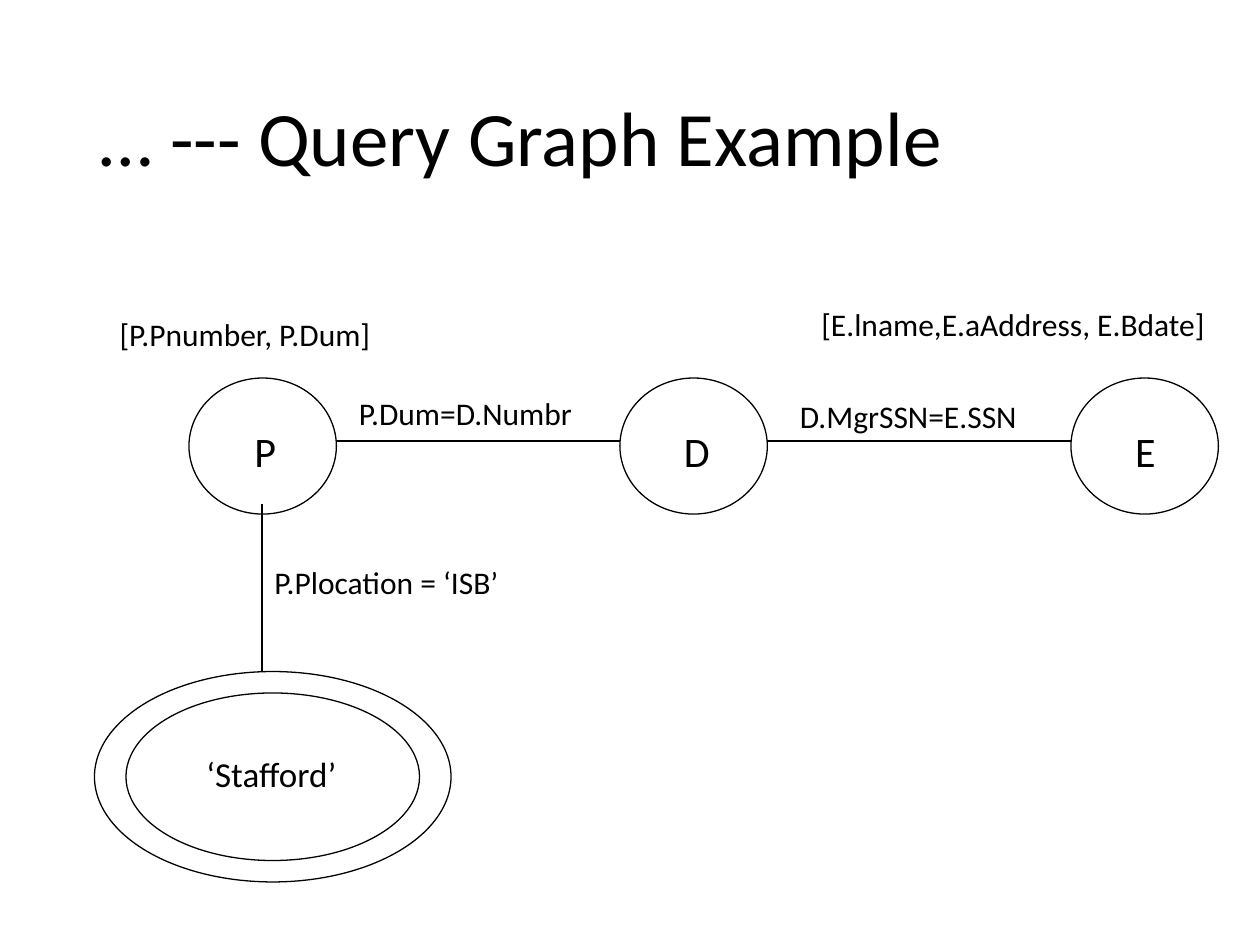
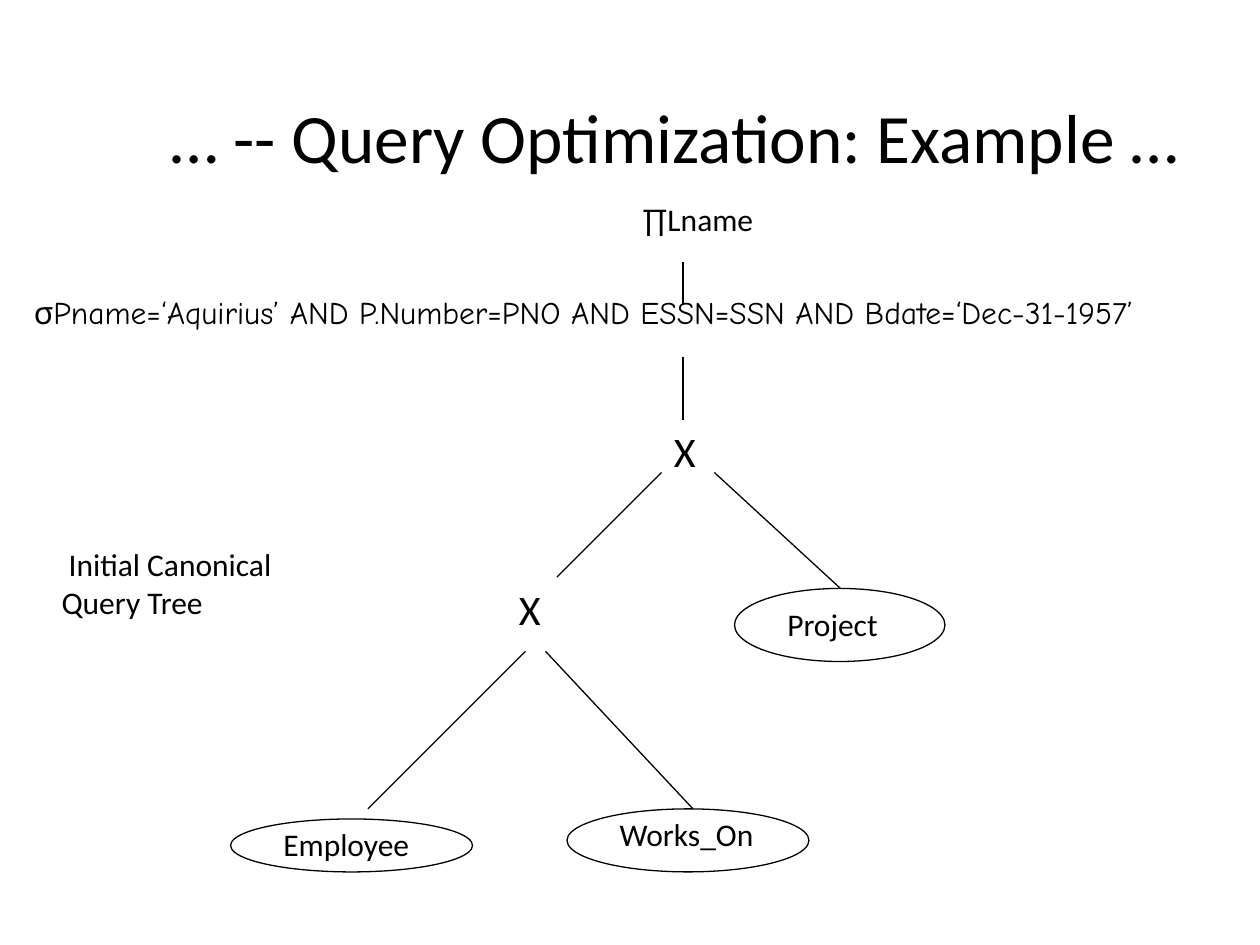
from lxml import etree
from pptx import Presentation
from pptx import util as u
from pptx.dml.color import RGBColor
from pptx.enum import shapes, text
from pptx.oxml import ns

BLACK = RGBColor(0x00, 0x00, 0x00)
WHITE = RGBColor(0xFF, 0xFF, 0xFF)
BODY_FONT = "Calibri"
CONDITION_FONT = "Comic Neue"
LINE_WIDTH = u.Pt(0.75)
LABEL_SIZE = 18
SYMBOL_SIZE = 24
TITLE_ONLY = 5

TITLE_FRAME = {
    "auto_size": text.MSO_AUTO_SIZE.NONE,
    "vertical_anchor": text.MSO_ANCHOR.MIDDLE,
    "word_wrap": True,
}
LABEL_FRAME = {
    "auto_size": text.MSO_AUTO_SIZE.SHAPE_TO_FIT_TEXT,
    "vertical_anchor": text.MSO_ANCHOR.TOP,
    "word_wrap": False,
}
TITLE_PARAGRAPH = {"alignment": text.PP_ALIGN.LEFT, "line_spacing": 0.9}


def apply_format(target, values):
    for attribute, value in values.items():
        setattr(target, attribute, value)


def inches(*lengths):
    return [u.Inches(length) for length in lengths]


def style_font(font, size, name=BODY_FONT):
    apply_format(font, {"size": u.Pt(size), "name": name})
    font.color.rgb = BLACK


def style_outline(line):
    line.color.rgb = BLACK
    line.width = LINE_WIDTH


def add_titled_slide(prs, heading, box, size):
    slide = prs.slides.add_slide(prs.slide_layouts[TITLE_ONLY])
    slide.background.fill.solid()
    slide.background.fill.fore_color.rgb = WHITE
    title = slide.shapes.title
    apply_format(title, dict(zip(("left", "top", "width", "height"), inches(*box))))
    title.text_frame.text = heading
    apply_format(title.text_frame, TITLE_FRAME)
    paragraph = title.text_frame.paragraphs[0]
    apply_format(paragraph, TITLE_PARAGRAPH)
    style_font(paragraph.font, size)
    return slide


def add_ellipse(slide, left, top, width, height):
    ellipse = slide.shapes.add_shape(
        shapes.MSO_SHAPE.OVAL, *inches(left, top, width, height))
    ellipse.shadow.inherit = False
    ellipse.fill.background()
    style_outline(ellipse.line)


def add_edge(slide, start, end):
    edge = slide.shapes.add_connector(
        shapes.MSO_CONNECTOR.STRAIGHT, *inches(*start, *end))
    style_outline(edge.line)
    etree.SubElement(edge._element.spPr, ns.qn("a:effectLst"))


def add_label(slide, words, box, size=LABEL_SIZE, font=BODY_FONT):
    label = slide.shapes.add_textbox(*inches(*box))
    label.text_frame.text = words
    apply_format(label.text_frame, LABEL_FRAME)
    for paragraph in label.text_frame.paragraphs:
        style_font(paragraph.font, size, font)


def build_query_graph(prs):
    slide = add_titled_slide(
        prs, "… --- Query Graph Example", (0.69, 0.4, 8.62, 1.45), 44)

    node_top, node_width, node_height = 3, 1.17, 1.08
    relations = [("P", 1.5, 1.92, 0.39), ("D", 4.92, 5.33, 0.43), ("E", 8.5, 8.91, 0.39)]
    for name, node_left, name_left, name_width in relations:
        add_ellipse(slide, node_left, node_top, node_width, node_height)
        add_label(slide, name, (name_left, 3.33, name_width, 0.5), SYMBOL_SIZE)

    # Joins run from the right side of one relation to the left side of the next.
    for (_, left, *_), (_, next_left, *_) in zip(relations, relations[1:]):
        add_edge(slide, (left + node_width, 3.5), (next_left, 3.5))

    add_ellipse(slide, 0.75, 5.33, 2.83, 1.67)
    add_ellipse(slide, 1, 5.5, 2.33, 1.33)
    add_edge(slide, (2.08, 5.33), (2.08, 4))
    add_label(slide, "‘Stafford’", (1.54, 5.92, 1.3, 0.43), 20)

    for words, left, top, width in [
        ("P.Plocation = ‘ISB’", 2.08, 4.42, 2),
        ("P.Dum=D.Numbr", 2.75, 3.08, 2.11),
        ("[P.Pnumber, P.Dum]", 0.85, 2.45, 2.48),
        ("D.MgrSSN=E.SSN", 6.25, 3.1, 2.16),
        ("[E.lname,E.aAddress, E.Bdate]", 6.42, 2.37, 3.58),
    ]:
        add_label(slide, words, (left, top, width, 0.4))


def build_query_tree(prs):
    slide = add_titled_slide(
        prs, "… -- Query Optimization: Example …", (1.25, 0.89, 8.52, 0.46), 39.6)

    for table_name, ellipse, name_box in [
        ("Employee", (1.83, 6.5, 1.92, 0.42), (2.15, 6.5, 1.27, 0.4)),
        ("Project", (5.83, 4.67, 1.67, 0.58), (6.15, 4.75, 0.97, 0.4)),
        ("Works_On", (4.5, 6.42, 1.92, 0.5), (4.82, 6.42, 1.34, 0.4)),
    ]:
        add_ellipse(slide, *ellipse)
        add_label(slide, table_name, name_box)

    for start, end in [
        ((5.42, 2.08), (5.42, 2.42)),
        ((5.42, 2.83), (5.42, 3.33)),
        ((5.25, 3.75), (4.42, 4.58)),
        ((5.67, 3.75), (6.67, 4.67)),
        ((4.17, 5.17), (2.92, 6.42)),
        ((4.33, 5.17), (5.5, 6.42)),
    ]:
        add_edge(slide, start, end)

    add_label(slide, "∏Lname", (5, 1.54, 1.26, 0.57))
    add_label(
        slide,
        "σPname=‘Aquirius’ AND P.Number=PNO AND ESSN=SSN AND Bdate=‘Dec-31-1957’",
        (0.17, 2.28, 10.01, 0.57), font=CONDITION_FONT)
    add_label(slide, "Χ", (5.25, 3.33, 0.39, 0.5), SYMBOL_SIZE)
    add_label(slide, "X", (4.02, 4.58, 0.39, 0.5), SYMBOL_SIZE)
    add_label(slide, " Initial Canonical\nQuery Tree", (0.39, 4.28, 2.11, 0.7))


def main():
    prs = Presentation()
    prs.slide_width, prs.slide_height = inches(10, 7.5)
    build_query_graph(prs)
    build_query_tree(prs)
    prs.save("out.pptx")


if __name__ == "__main__":
    main()
